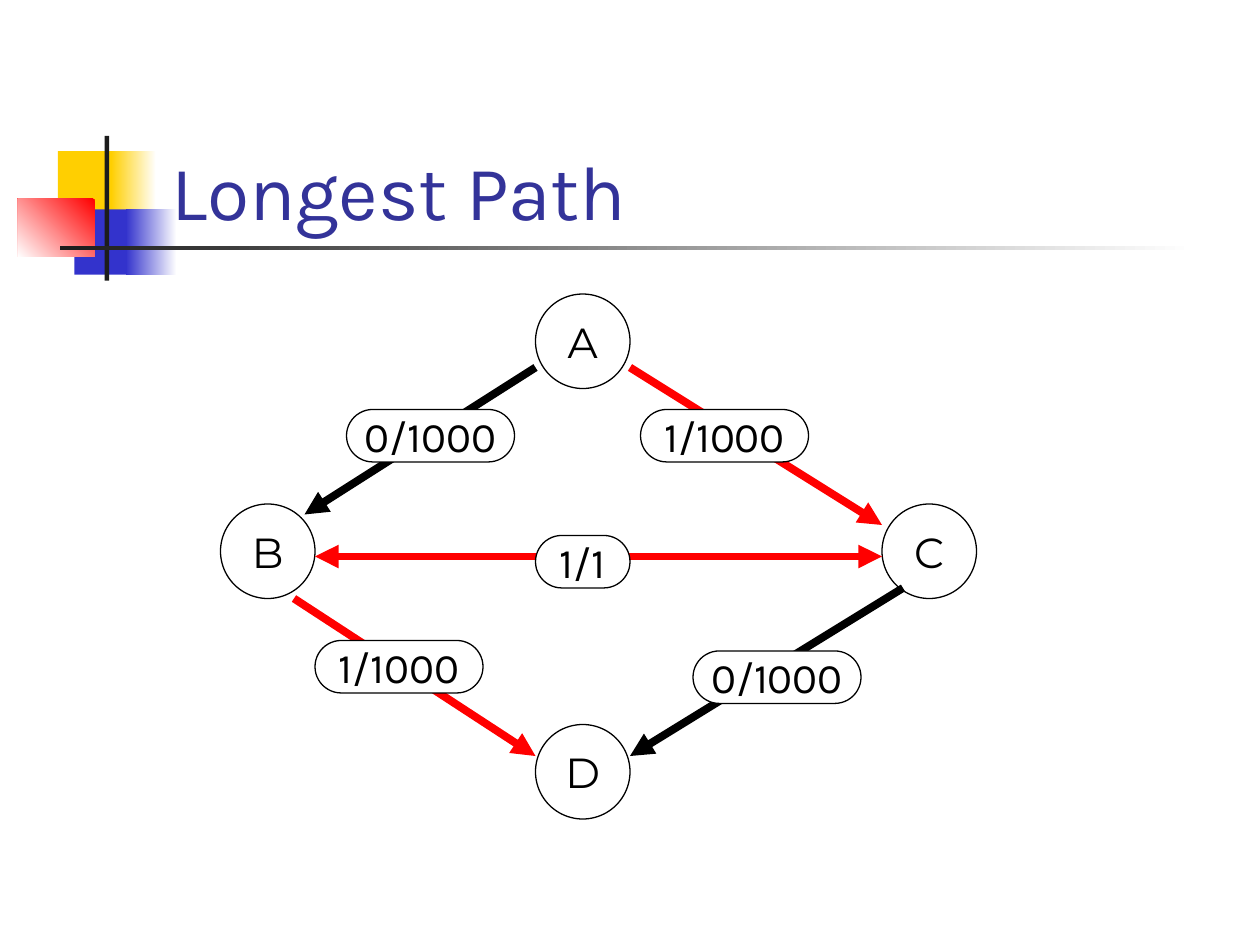
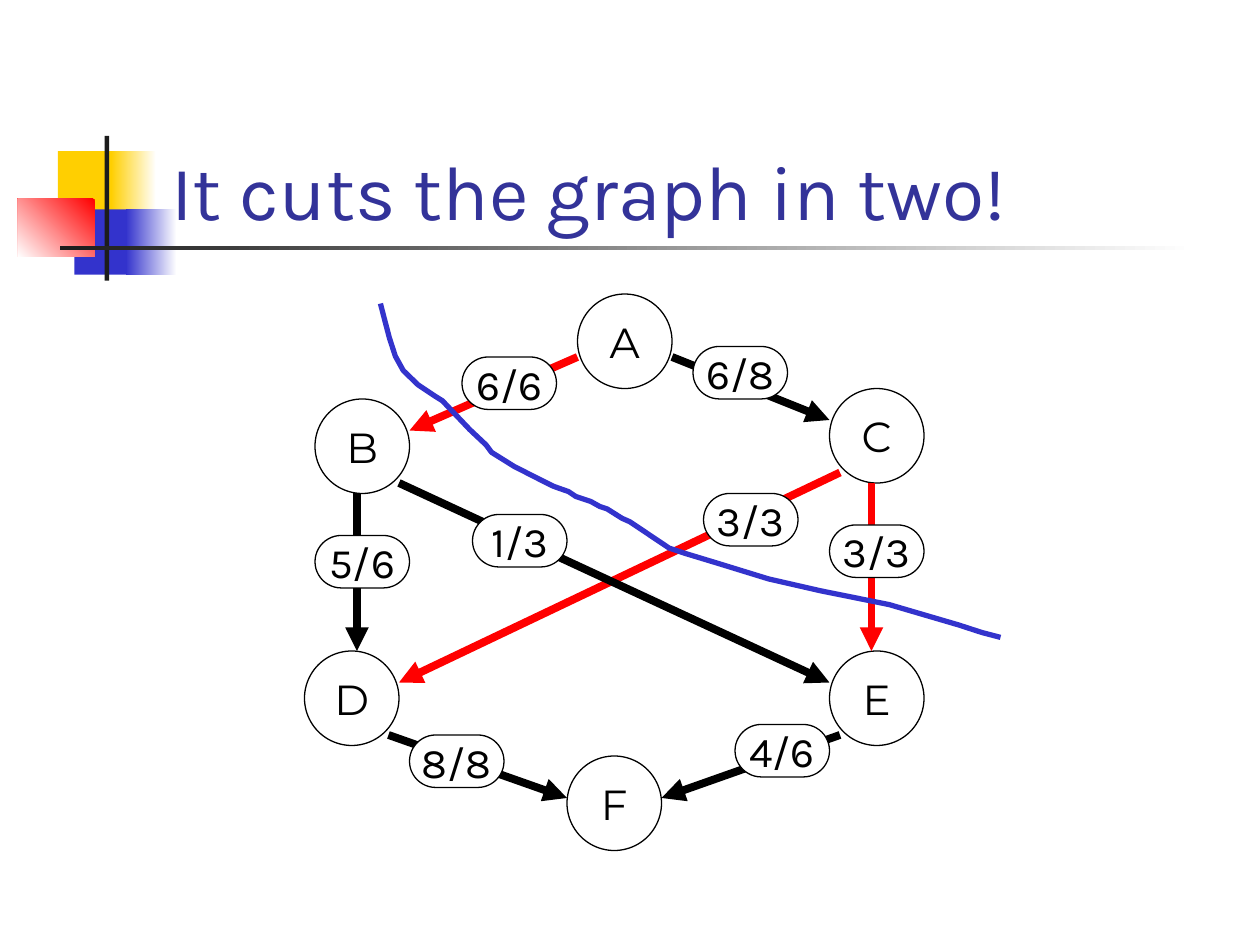
from pptx import Presentation
from pptx.dml.color import RGBColor
from pptx.enum.shapes import MSO_CONNECTOR, MSO_SHAPE
from pptx.enum.text import MSO_ANCHOR, PP_ALIGN
from pptx.oxml.ns import qn
from pptx.util import Cm, Pt
from lxml.etree import SubElement

BLACK, WHITE, RED, BLUE = "000000", "FFFFFF", "FF0000", "3333CC"
GOLD, CHARCOAL, TITLE_COLOR = "FFCF01", "1C1C1C", "333399"
TITLE_FONT, NODE_FONT = "Karla", "Montserrat"

GRID = 2.54 / 12
NODE_SIZE = 9
LABEL_HEIGHT = 5
LABEL_WIDTHS = {3: 9, 6: 16}

BANDS = [
    ((1.17, 3.05, 1.22, 1.32), [GOLD], 0),
    ((2.24, 3.05, 0.91, 1.32), [WHITE, GOLD], 180),
    ((1.5, 4.22, 1.17, 1.32), [BLUE], 0),
    ((2.54, 4.22, 1.02, 1.32), [WHITE, BLUE], 180),
    ((0.36, 4.01, 1.55, 1.17), [RED, WHITE], 225),
    ((2.11, 2.74, 0.09, 2.92), [CHARCOAL], 0),
    ((1.22, 4.95, 22.86, 0.09), [WHITE, CHARCOAL], 180),
]

LONGEST_PATH = {
    "title": "Longest Path",
    "nodes": {"D": (51, 69), "C": (84, 48), "B": (21, 48), "A": (51, 28)},
    "edges": [
        ((60, 35), (84, 50), RED, "one"),
        ((86, 56), (60, 72), BLACK, "one"),
        ((51, 35), (29, 49), BLACK, "one"),
        ((28, 57), (51, 72), RED, "one"),
        ((30, 53), (84, 53), RED, "both"),
    ],
    "labels": [
        ("1/1000", 30, 61), ("1/1", 51, 51), ("0/1000", 66, 62),
        ("0/1000", 33, 39), ("1/1000", 61, 39),
    ],
    "cut": [],
}

GRAPH_CUT = {
    "title": "It cuts the graph in two!",
    "nodes": {"F": (54, 72), "E": (79, 62), "D": (29, 62),
              "C": (79, 37), "B": (30, 38), "A": (55, 28)},
    "edges": [
        ((64, 34), (79, 40), BLACK, "one"),
        ((83, 46), (83, 62), RED, "one"),
        ((80, 70), (63, 76), BLACK, "one"),
        ((55, 34), (39, 41), RED, "one"),
        ((34, 47), (34, 62), BLACK, "one"),
        ((37, 70), (54, 76), BLACK, "one"),
        ((80, 45), (38, 65), RED, "one"),
        ((38, 46), (79, 65), BLACK, "one"),
    ],
    "labels": [
        ("6/8", 66, 33), ("6/6", 44, 34), ("3/3", 67, 47), ("1/3", 45, 49),
        ("3/3", 79, 50), ("5/6", 30, 51), ("4/6", 70, 69), ("8/8", 39, 70),
    ],
    "cut": [
        (7.67, 6.12), (7.75, 6.43), (7.85, 6.81), (7.97, 7.18), (8.13, 7.47),
        (8.43, 7.76), (8.76, 7.98), (8.92, 8.08), (9.47, 8.66), (9.8, 8.97),
        (9.91, 9.12), (10.36, 9.4), (10.85, 9.65), (11.15, 9.8), (11.26, 9.84),
        (11.46, 9.91), (11.61, 10.01), (11.91, 10.11), (12.09, 10.21),
        (12.24, 10.26), (12.54, 10.45), (12.7, 10.52), (13.49, 11.05),
        (13.79, 11.15), (14.45, 11.35), (15.49, 11.67), (16.54, 11.91),
        (17.93, 12.19), (19.33, 12.6), (19.79, 12.75), (20.17, 12.85),
    ],
}


def color(value):
    return RGBColor.from_string(value)


def grid(*steps):
    return [Cm(step * GRID) for step in steps]


def write(shape, text, font_name, size, font_color):
    paragraph = shape.text_frame.paragraphs[0]
    run = paragraph.add_run()
    run.text = text
    run.font.name = font_name
    run.font.size = Pt(size)
    run.font.color.rgb = color(font_color)
    return paragraph


def add_band(slide, box, colors, angle):
    shape = slide.shapes.add_shape(MSO_SHAPE.RECTANGLE, *map(Cm, box))
    shape.shadow.inherit = False
    shape.line.fill.background()
    if len(colors) == 1:
        shape.fill.solid()
        shape.fill.fore_color.rgb = color(colors[0])
    else:
        shape.fill.gradient()
        shape.fill.gradient_angle = angle
        for stop, position, value in zip(shape.fill.gradient_stops, (0, 1), colors):
            stop.position = position
            stop.color.rgb = color(value)


def add_title(slide, text):
    title = slide.shapes.add_textbox(Cm(3.2), Cm(1.7), Cm(21.64), Cm(3.18))
    title.text_frame.word_wrap = True
    title.text_frame.vertical_anchor = MSO_ANCHOR.BOTTOM
    write(title, text, TITLE_FONT, 44, TITLE_COLOR)


def add_outlined(slide, preset, box, text, font_name):
    shape = slide.shapes.add_shape(preset, *grid(*box))
    shape.shadow.inherit = False
    shape.fill.solid()
    shape.fill.fore_color.rgb = color(WHITE)
    shape.line.color.rgb = color(BLACK)
    shape.line.width = Pt(0.75)
    shape.text_frame.word_wrap = False
    shape.text_frame.vertical_anchor = MSO_ANCHOR.MIDDLE
    write(shape, text, font_name, 24, BLACK).alignment = PP_ALIGN.CENTER
    return shape


def add_edge(slide, start, end, line_color, heads):
    edge = slide.shapes.add_connector(MSO_CONNECTOR.STRAIGHT, *grid(*start, *end))
    edge.line.color.rgb = color(line_color)
    edge.line.width = Pt(4.5)
    line = edge.line._get_or_add_ln()
    if heads == "both":
        SubElement(line, qn("a:headEnd"), type="triangle")
    SubElement(line, qn("a:tailEnd"), type="triangle")
    SubElement(edge._element.spPr, qn("a:effectLst"))


def add_cut(slide, points):
    start, *rest = [(Cm(x), Cm(y)) for x, y in points]
    builder = slide.shapes.build_freeform(*start)
    builder.add_line_segments(rest, close=False)
    cut = builder.convert_to_shape()
    cut.shadow.inherit = False
    cut.fill.background()
    cut.line.color.rgb = color(BLUE)
    cut.line.width = Pt(3)


def add_graph_slide(presentation, graph):
    slide = presentation.slides.add_slide(presentation.slide_layouts[6])
    for band in BANDS:
        add_band(slide, *band)
    add_title(slide, graph["title"])
    for name, (left, top) in graph["nodes"].items():
        box = (left, top, NODE_SIZE, NODE_SIZE)
        add_outlined(slide, MSO_SHAPE.OVAL, box, name, NODE_FONT)
    for edge in graph["edges"]:
        add_edge(slide, *edge)
    for text, left, top in graph["labels"]:
        box = (left, top, LABEL_WIDTHS[len(text)], LABEL_HEIGHT)
        label = add_outlined(slide, MSO_SHAPE.ROUNDED_RECTANGLE, box, text, TITLE_FONT)
        label.adjustments[0] = 0.5
    if graph["cut"]:
        add_cut(slide, graph["cut"])


def main():
    presentation = Presentation()
    presentation.slide_width = Cm(25.4)
    presentation.slide_height = Cm(19.05)
    for graph in (LONGEST_PATH, GRAPH_CUT):
        add_graph_slide(presentation, graph)
    presentation.save("out.pptx")


if __name__ == "__main__":
    main()
